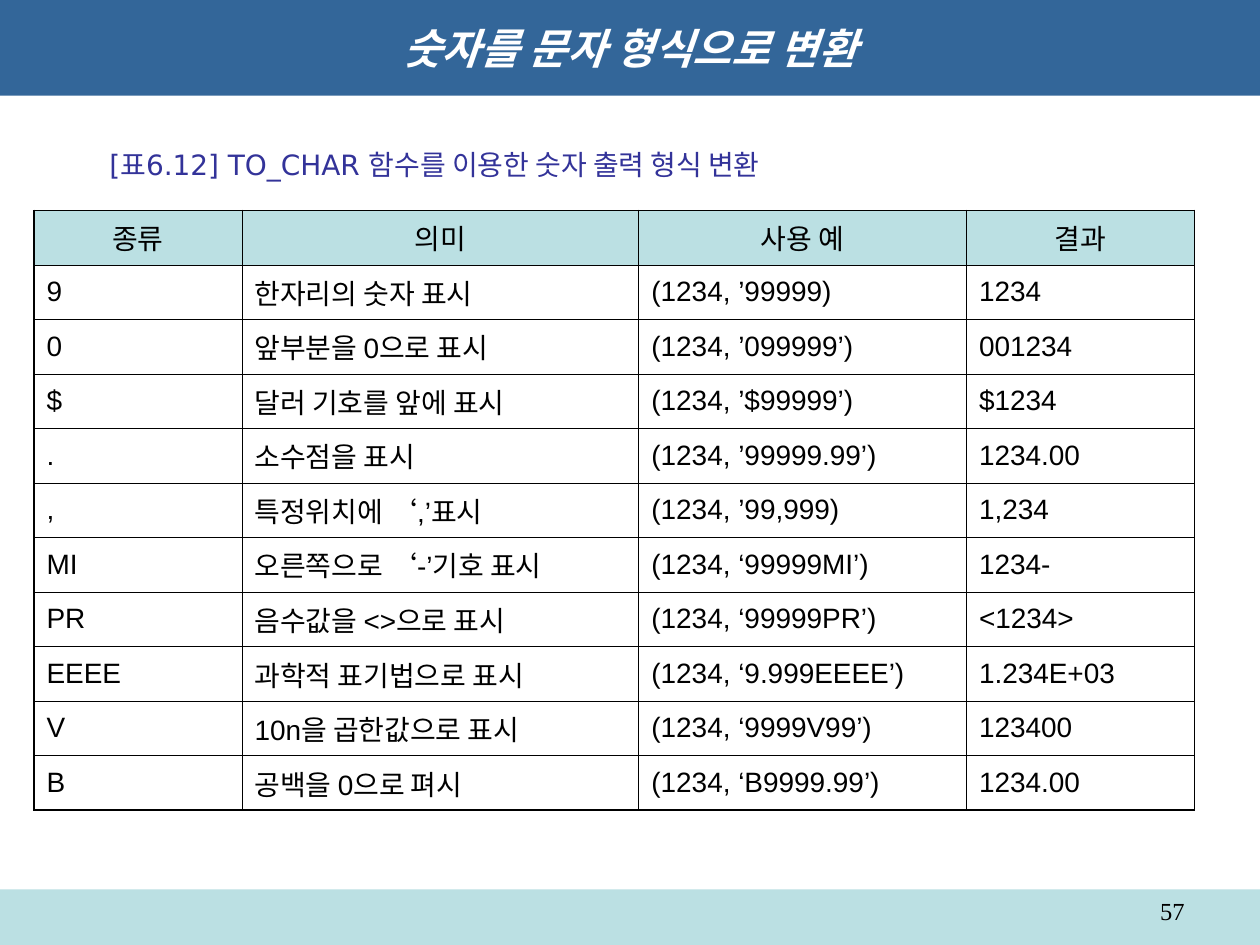
from lxml.etree import SubElement
from pptx import Presentation
from pptx.dml.color import RGBColor
from pptx.enum.shapes import MSO_SHAPE as Shape
from pptx.enum.text import MSO_ANCHOR as Anchor, MSO_AUTO_SIZE as AutoSize, PP_ALIGN as Align
from pptx.oxml.ns import qn
from pptx.util import Inches, Pt

WIDTH, HEIGHT = 10, 7.5
BLACK, WHITE, NAVY, PALE, INDIGO = "000000", "FFFFFF", "336699", "BBE0E3", "333399"
THIN, THICK = 0.45, 1.08

COLUMN_WIDTHS = [1.65, 3.15, 2.6, 1.81]
ROWS = [
    ("종류", "의미", "사용 예", "결과"),
    ("9", "한자리의 숫자 표시", "(1234, ’99999)", "1234"),
    ("0", "앞부분을 0으로 표시", "(1234, ’099999’)", "001234"),
    ("$", "달러 기호를 앞에 표시", "(1234, ’$99999’)", "$1234"),
    (".", "소수점을 표시", "(1234, ’99999.99’)", "1234.00"),
    (",", "특정위치에 ‘,’표시", "(1234, ’99,999)", "1,234"),
    ("MI", "오른쪽으로 ‘-’기호 표시", "(1234, ‘99999MI’)", "1234-"),
    ("PR", "음수값을 <>으로 표시", "(1234, ‘99999PR’)", "<1234>"),
    ("EEEE", "과학적 표기법으로 표시", "(1234, ‘9.999EEEE’)", "1.234E+03"),
    ("V", "10n을 곱한값으로 표시", "(1234, ‘9999V99’)", "123400"),
    ("B", "공백을 0으로 펴시", "(1234, ‘B9999.99’)", "1234.00"),
]


def color(value):
    return RGBColor.from_string(value)


def fill_with(target, value):
    target.fill.solid()
    target.fill.fore_color.rgb = color(value)


def write(frame, text, size=16, font="Arial", ink=BLACK, align=Align.LEFT,
          anchor=Anchor.MIDDLE, wrap=True, bold=False, italic=False):
    frame.word_wrap = wrap
    frame.vertical_anchor = anchor
    paragraph = frame.paragraphs[0]
    paragraph.alignment = align
    run = paragraph.add_run()
    run.text = text
    run.font.name, run.font.size = font, Pt(size)
    run.font.bold, run.font.italic = bold, italic
    run.font.color.rgb = color(ink)


def place(shape, box):
    shape.left, shape.top, shape.width, shape.height = map(Inches, box)


def add_title(slide, box, text):
    title = slide.shapes.title
    place(title, box)
    fill_with(title, NAVY)
    title.text_frame.auto_size = AutoSize.NONE
    write(title.text_frame, text, size=24, font="DejaVu Sans", ink=WHITE,
          align=Align.CENTER, bold=True, italic=True)


def add_text(slide, box, text, **style):
    text_box = slide.shapes.add_textbox(*map(Inches, box))
    write(text_box.text_frame, text, **style)


def add_footer(slide, box, number):
    left, top, width, height = box
    bar = slide.shapes.add_shape(Shape.RECTANGLE, *map(Inches, box))
    bar.shadow.inherit = False
    fill_with(bar, PALE)
    bar.line.fill.background()
    number_box = (left + 0.717 * width, top, 0.233 * width, 0.29)
    add_text(slide, number_box, number, size=14, font="Times New Roman",
             align=Align.RIGHT, anchor=Anchor.TOP)


def set_borders(cell, widths):
    # Border lines come before the fill in the cell properties
    properties = cell._tc.get_or_add_tcPr()
    for index, (side, width) in enumerate(widths.items()):
        line = SubElement(properties, qn(f"a:ln{side}"), w=str(Pt(width)))
        fill = SubElement(line, qn("a:solidFill"))
        SubElement(fill, qn("a:srgbClr"), val=BLACK)
        properties.insert(index, line)


def add_format_table(slide, box, rows, column_widths):
    last_row, last_column = len(rows) - 1, len(column_widths) - 1
    table = slide.shapes.add_table(len(rows), len(column_widths), *map(Inches, box)).table
    for column, width in zip(table.columns, column_widths):
        column.width = Inches(width)
    for r, values in enumerate(rows):
        header = r == 0
        for c, value in enumerate(values):
            cell = table.cell(r, c)
            fill_with(cell, PALE if header else WHITE)
            cell.vertical_anchor = Anchor.MIDDLE
            write(cell.text_frame, value, align=Align.CENTER if header else Align.LEFT)
            outer = {"L": c == 0, "R": c == last_column, "T": header, "B": r == last_row}
            set_borders(cell, {side: THICK if edge else THIN for side, edge in outer.items()})


def main():
    presentation = Presentation()
    presentation.slide_width, presentation.slide_height = Inches(WIDTH), Inches(HEIGHT)
    slide = presentation.slides.add_slide(presentation.slide_layouts[5])

    # Title band and footer band with the page number
    add_title(slide, (0, 0, WIDTH, 0.76), "숫자를 문자 형식으로 변환")
    add_footer(slide, (0, HEIGHT - 0.44, WIDTH, 0.44), "57")

    # Table of number formats and its caption
    add_format_table(slide, (0.27, 1.67, sum(COLUMN_WIDTHS), 4.76), ROWS, COLUMN_WIDTHS)
    add_text(slide, (0.77, 1.12, 5.59, 0.37),
             "[표6.12] TO_CHAR 함수를 이용한 숫자 출력 형식 변환",
             font="DejaVu Sans", ink=INDIGO, wrap=False)

    presentation.save("out.pptx")


if __name__ == "__main__":
    main()
